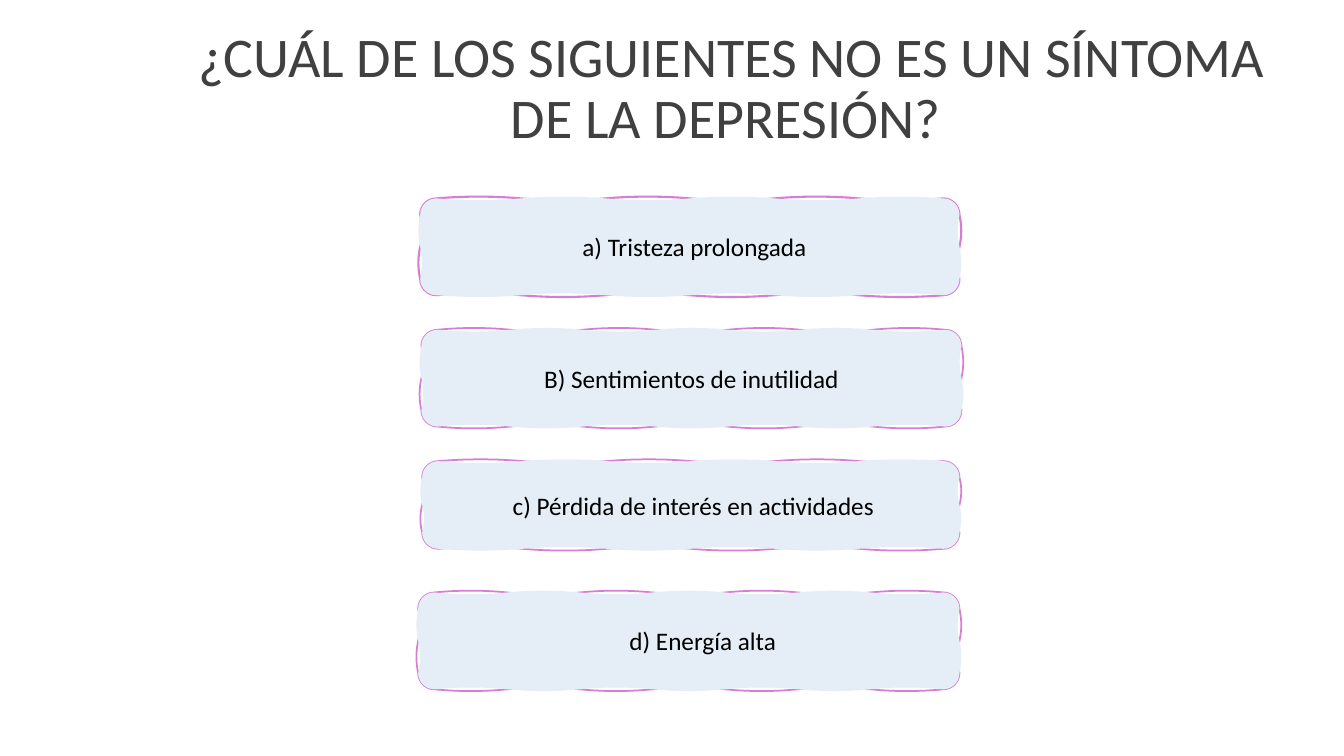
from copy import deepcopy
from math import cos, sin, pi
from pptx import Presentation
from pptx.util import Cm, Pt
from pptx.dml.color import RGBColor
from pptx.enum.text import PP_ALIGN as Align, MSO_ANCHOR as Anchor
from pptx.oxml.ns import qn

ROWS = [
    ("a) Tristeza prolongada", 10.59, 13.59, 2.44, 1.5, 0.23),
    ("B) Sentimientos de inutilidad", 10.62, 13.61, 2.44, 1.25, 0),
    ("c) Pérdida de interés en actividades", 10.64, 13.54, 2.21, 1.25, 0.13),
    ("d) Energía alta", 10.54, 13.64, 2.44, 1.25, 0.7),
]
TOP, STEP = 5, 3.31


def tint(code):
    return RGBColor.from_string(code)


def write(para, text, size, font, color):
    run = para.add_run()
    run.text = text
    run.font.size = Pt(size)
    run.font.name = font
    run.font.color.rgb = tint(color)


def outline(left, top, width, height, waves, swell):
    bend = 0.41
    right, base = left + width - bend, top + height - bend
    left, top = left + bend, top + bend
    hubs = [(right, top), (right, base), (left, base), (left, top)]
    dots = [(right, top - bend)]
    for side, (x, y) in enumerate(hubs):
        turn = (side - 1) * pi / 2
        a, b = bend * cos(turn), bend * sin(turn)
        for p, q in ((1, 0.55), (0.55, 1), (0, 1)):
            dots.append((x + p * a - q * b, y + p * b + q * a))
        far_x, far_y = hubs[(side + 1) % 4]
        count = waves if side % 2 else 2
        for wave in range(count):
            push = swell * (-1) ** wave
            for third, rise in ((1, push), (2, push), (3, 0)):
                share = (wave + third / 3) / count
                reach = 1 + rise / bend
                dots.append((x + (far_x - x) * share - reach * b,
                             y + (far_y - y) * share + reach * a))
    return [(Cm(x), Cm(y)) for x, y in dots]


def curve(track):
    lines = track.findall(qn("a:lnTo"))
    for first, *rest in zip(lines[::3], lines[1::3], lines[2::3]):
        first.tag = qn("a:cubicBezTo")
        for node in rest:
            first.append(node[0])
            track.remove(node)


def sketch(slide, box, waves):
    rim = outline(*box, waves, 0.06)
    body = outline(*box, waves, -0.06)
    pen = slide.shapes.build_freeform(*rim[0])
    pen.add_line_segments(rim[1:])
    pen.move_to(*body[0])
    pen.add_line_segments(body[1:])
    shape = pen.convert_to_shape()
    edge = shape._element.xpath(".//a:path")[0]
    fill = deepcopy(edge)
    edge.addnext(fill)
    half = len(edge) // 2
    for node in list(edge)[half:]:
        edge.remove(node)
    for node in list(fill)[:half]:
        fill.remove(node)
    edge.set("fill", "none")
    fill.set("stroke", "0")
    curve(edge)
    curve(fill)
    return shape


def option(slide, box, text, weight, shift, waves):
    shape = sketch(slide, box, waves)
    shape.shadow.inherit = False
    shape.fill.solid()
    shape.fill.fore_color.rgb = tint("E5EEF7")
    shape.line.color.rgb = tint("D67FD2")
    shape.line.width = Pt(weight)
    frame = shape.text_frame
    frame.word_wrap = True
    frame.vertical_anchor = Anchor.MIDDLE
    frame.margin_left = Cm(0.25 + shift)
    para = frame.paragraphs[0]
    para.alignment = Align.CENTER
    write(para, text, 18, "Calibri", "000000")


def title(slide, box):
    frame = slide.shapes.add_textbox(*map(Cm, box)).text_frame
    frame.word_wrap = True
    frame.vertical_anchor = Anchor.MIDDLE
    para = frame.paragraphs[0]
    para.alignment = Align.CENTER
    para.line_spacing = 0.9
    write(para, " ", 32, "Roboto", "404040")
    write(para, "¿CUÁL DE LOS SIGUIENTES NO ES UN SÍNTOMA DE LA DEPRESIÓN?",
          40, "Calibri", "404040")


def main():
    deck = Presentation()
    deck.slide_width, deck.slide_height = Cm(33.87), Cm(19.05)
    slide = deck.slides.add_slide(deck.slide_layouts[6])
    title(slide, (3.68, 0.43, 29.21, 3.68))
    for row, (text, left, width, height, weight, shift) in enumerate(ROWS):
        box = (left, TOP + row * STEP, width, height)
        option(slide, box, text, weight, shift, 6 + row % 2)
    deck.save("out.pptx")


if __name__ == "__main__":
    main()
